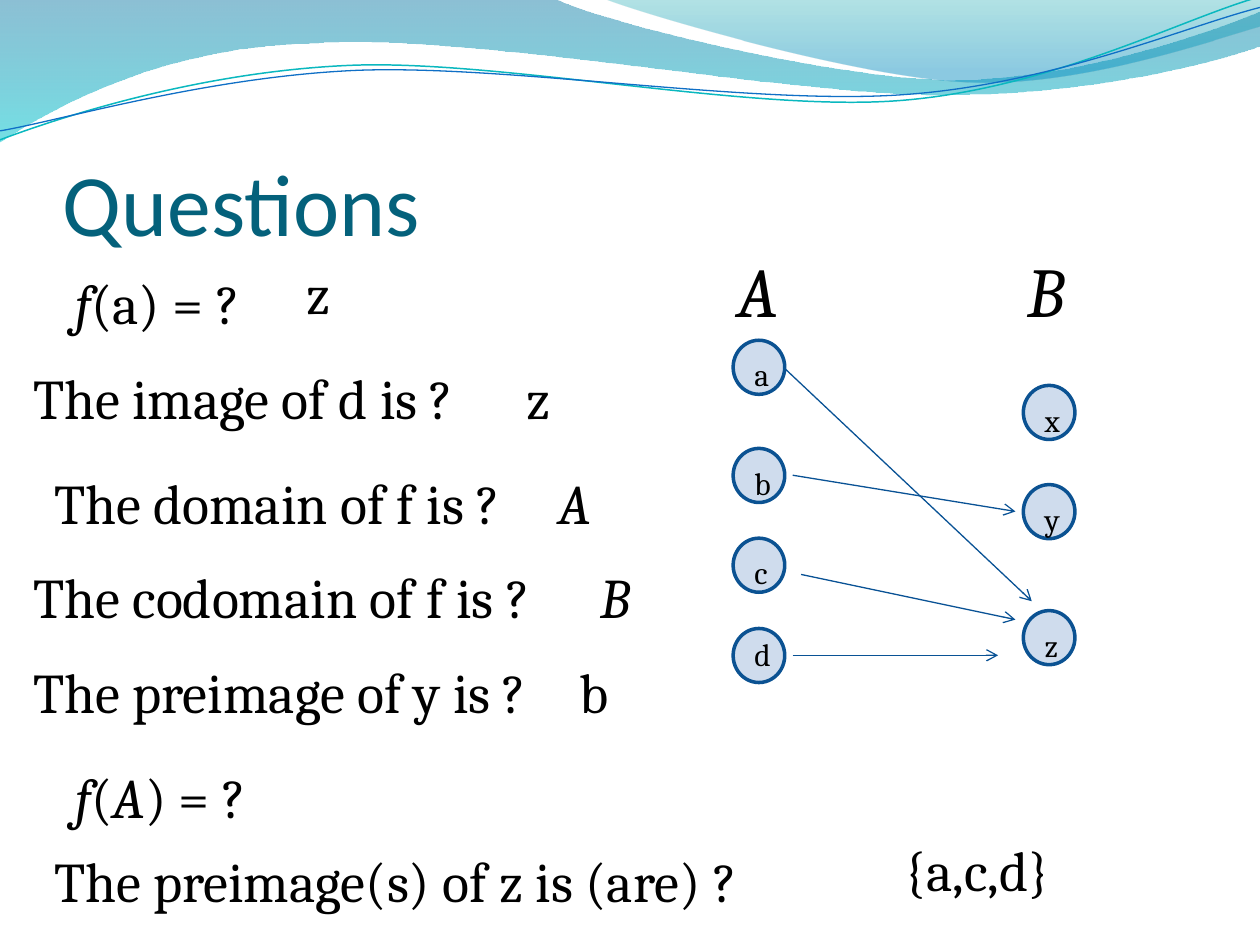
from math import cos, radians, sin

from lxml.etree import SubElement
from pptx import Presentation
from pptx.dml.color import RGBColor
from pptx.enum.shapes import MSO_CONNECTOR as Connector, MSO_SHAPE as Shape
from pptx.enum.text import MSO_ANCHOR as Anchor, MSO_AUTO_SIZE as AutoSize
from pptx.oxml.ns import qn
from pptx.util import Cm, Pt

BLACK = RGBColor(0x00, 0x00, 0x00)
TITLE = RGBColor(0x04, 0x61, 0x7B)
NODE_FILL = RGBColor(0x4F, 0x81, 0xBD)
NODE_EDGE = RGBColor(0x0B, 0x52, 0x92)
ARROW = RGBColor(0x09, 0x52, 0x95)
DEEP_BLUE = RGBColor(0x00, 0x74, 0xA1)
AQUA = RGBColor(0x00, 0xC6, 0xCF)
TEAL = RGBColor(0x00, 0xA1, 0xA9)
SKY = RGBColor(0x00, 0x8B, 0xBF)
TEAL_LINE = RGBColor(0x0A, 0xB8, 0xBF)
BLUE_LINE = RGBColor(0x0F, 0x6F, 0xC6)

LEFT_WAVE = [
    (0, 0), (11.18, -0.03),
    (12.09, 0.43, 16.87, 1.6, 19.25, 1.6),
    (21.67, 1.6, 24.33, 0.66, 25.4, 0.23), (25.43, 0.91),
    (24.97, 1.12, 22.1, 1.93, 18.95, 1.91),
    (15.8, 1.91, 9.7, 0.71, 6.53, 0.86),
    (3.28, 0.91, 1.17, 2.11, -0.03, 2.87), (0, 0),
]
RIGHT_WAVE = [
    (12.17, -0.03),
    (12.93, 0.28, 17.32, 1.57, 19.53, 1.65),
    (21.74, 1.75, 24.41, 0.81, 25.4, 0.53), (25.4, 0), (12.17, -0.03),
]
TEAL_CURVE = [
    (0, 2.82),
    (1.22, 2.36, 4.01, 1.45, 7.04, 1.32),
    (10.03, 1.19, 15.06, 2.26, 18.11, 2.03),
    (21.16, 1.8, 23.83, 0.38, 25.35, -0.05),
]
BLUE_CURVE = [
    (0, 2.64),
    (1.19, 2.44, 4.17, 1.55, 7.19, 1.42),
    (10.24, 1.3, 15.16, 2.13, 18.21, 1.91),
    (21.23, 1.7, 23.9, 0.53, 25.4, 0.15),
]
TILT = -2.7

SETS = [
    ("A", 14.78, [("a", 6.86), ("b", 9.04), ("c", 10.85), ("d", 12.67)]),
    ("B", 20.63, [("x", 7.77), ("y", 9.77), ("z", 12.31)]),
]
ARROWS = [
    (15.98, 9.58, 20.47, 10.31),
    (15.8, 7.41, 20.8, 12.12),
    (16.15, 11.58, 20.47, 12.49),
    (15.98, 13.21, 20.12, 13.21),
]
QUESTIONS = [
    (1.27, 5.28, 10.8, [("f", True), ("(a) = ?", False)]),
    (5.92, 5.08, 8.05, [("z", False)]),
    (0.42, 7.2, 10.8, [("The image of d is ?", False)]),
    (10.36, 7.2, 1.91, [("z", False)]),
    (0.84, 9.32, 10.8, [("The domain of f is ?", False)]),
    (11, 9.32, 1.7, [("A", True)]),
    (0.42, 11.22, 11.23, [("The codomain of f is ?", False)]),
    (11.86, 11.22, 1.07, [("B", True)]),
    (0.42, 13.13, 11.43, [("The preimage of y is ?", False)]),
    (11.43, 13.13, 1.27, [("b", False)]),
    (1.27, 15.24, 4.45, [("f", True), ("(", False), ("A", True), (") = ?", False)]),
    (17.99, 16.71, 7.42, [("{a,c,d}", False)]),
    (0.84, 16.94, 16.71, [("The preimage(s) of z is (are) ?", False)]),
]


def set_opacity(color_parent, percent):
    """Make the colour held by an XML element partly transparent."""
    color = color_parent.find(qn("a:srgbClr"))
    SubElement(color, qn("a:alpha"), val=str(percent * 1000))


def add_outline(page, bounds, steps, tilt=0):
    """Draw straight and cubic steps as a freeform in a box that may be tilted."""
    left, top, width, height = bounds
    turn = radians(-tilt)
    builder = page.shapes.build_freeform(Cm(left), Cm(top))
    builder.add_line_segments([(Cm(left + width), Cm(top + height))], close=False)
    outline = builder.convert_to_shape()
    outline.shadow.inherit = False
    outline.rotation = tilt % 360
    course = outline.element.find(".//" + qn("a:path"))
    for child in list(course):
        course.remove(child)
    for index, step in enumerate(steps):
        kind = "a:cubicBezTo" if len(step) == 6 else "a:lnTo" if index else "a:moveTo"
        segment = SubElement(course, qn(kind))
        for x, y in zip(step[::2], step[1::2]):
            across, down = x - left - width / 2, y - top - height / 2
            local_x = across * cos(turn) - down * sin(turn) + width / 2
            local_y = across * sin(turn) + down * cos(turn) + height / 2
            SubElement(segment, qn("a:pt"), x=str(int(Cm(local_x))), y=str(int(Cm(local_y))))
    if steps[0] == steps[-1]:
        course.remove(segment)
        SubElement(course, qn("a:close"))
    return outline


def add_wave(page, bounds, steps, stops):
    """Draw a closed wave shaded from top to bottom."""
    wave = add_outline(page, bounds, steps)
    wave.line.fill.background()
    wave.fill.gradient()
    wave.fill.gradient_angle = 270
    elements = wave.element.iter(qn("a:gs"))
    for stop, element, (position, color, opacity) in zip(
            wave.fill.gradient_stops, elements, stops):
        stop.position = position
        stop.color.rgb = color
        set_opacity(element, opacity)


def add_curve(page, bounds, steps, color, width):
    """Draw an open curved line."""
    curve = add_outline(page, bounds, steps, TILT)
    curve.fill.background()
    curve.line.color.rgb = color
    curve.line.width = Pt(width)


def add_text(page, left, top, width, height, spans, size, font="Cambria", color=BLACK):
    """Add a one-line text box and return its frame."""
    box = page.shapes.add_textbox(Cm(left), Cm(top), Cm(width), Cm(height))
    frame = box.text_frame
    frame.word_wrap = True
    frame.auto_size = AutoSize.SHAPE_TO_FIT_TEXT
    para = frame.paragraphs[0]
    for text, italic in spans:
        span = para.add_run()
        span.text = text
        span.font.name = font
        span.font.size = Pt(size)
        span.font.italic = italic
        span.font.color.rgb = color
    return frame


def add_title(page, text):
    """Add the heading, seated on the bottom of its box."""
    frame = add_text(page, 1.27, 1.95, 22.86, 3.18, [(text, False)], 50, "Calibri", TITLE)
    frame.auto_size = AutoSize.NONE
    frame.vertical_anchor = Anchor.BOTTOM
    frame.margin_left = frame.margin_right = frame.margin_bottom = 0


def add_node(page, left, top):
    """Add the circle of one set element."""
    node = page.shapes.add_shape(
        Shape.FLOWCHART_CONNECTOR, Cm(left), Cm(top), Cm(1.04), Cm(1.09))
    node.shadow.inherit = False
    node.fill.solid()
    node.fill.fore_color.rgb = NODE_FILL
    set_opacity(node.element.spPr.find(qn("a:solidFill")), 27)
    node.line.color.rgb = NODE_EDGE
    node.line.width = Pt(2)


def add_arrow(page, *ends):
    """Add a thin arrow between two points."""
    arrow = page.shapes.add_connector(Connector.STRAIGHT, *map(Cm, ends))
    arrow.line.color.rgb = ARROW
    arrow.line.width = Pt(0.75)
    SubElement(arrow.element.spPr.find(qn("a:ln")), qn("a:tailEnd"), type="arrow")
    SubElement(arrow.element.spPr, qn("a:effectLst"))


def add_set(page, name, left, members):
    """Add a set's name with its column of lettered circles."""
    add_text(page, left - 0.17, 4.87, 1.55, 1.96, [(name, True)], 40)
    for letter, top in members:
        add_node(page, left, top)
        drop = 0 if letter == "d" else 0.18
        add_text(page, left + 0.18, top + drop, 0.69, 0.89, [(letter, False)], 18)


def main():
    """Build the slide and save it."""
    deck = Presentation()
    deck.slide_width, deck.slide_height = Cm(25.4), Cm(19.05)
    page = deck.slides.add_slide(deck.slide_layouts[6])
    add_wave(page, (-0.03, -0.03, 25.45, 2.9), LEFT_WAVE, [(0, DEEP_BLUE, 45), (1, AQUA, 55)])
    add_wave(page, (12.17, -0.03, 13.23, 1.78), RIGHT_WAVE, [(0, TEAL, 30), (0.8, SKY, 45)])
    add_curve(page, (-0.05, 0.56, 25.45, 1.8), TEAL_CURVE, TEAL_LINE, 0.85)
    add_curve(page, (-0.05, 0.76, 25.48, 1.47), BLUE_CURVE, BLUE_LINE, 0.75)
    add_title(page, "Questions")
    for name, left, members in SETS:
        add_set(page, name, left, members)
    for ends in ARROWS:
        add_arrow(page, *ends)
    for left, top, width, spans in QUESTIONS:
        add_text(page, left, top, width, 1.63, spans, 32)
    deck.save("out.pptx")


if __name__ == "__main__":
    main()
